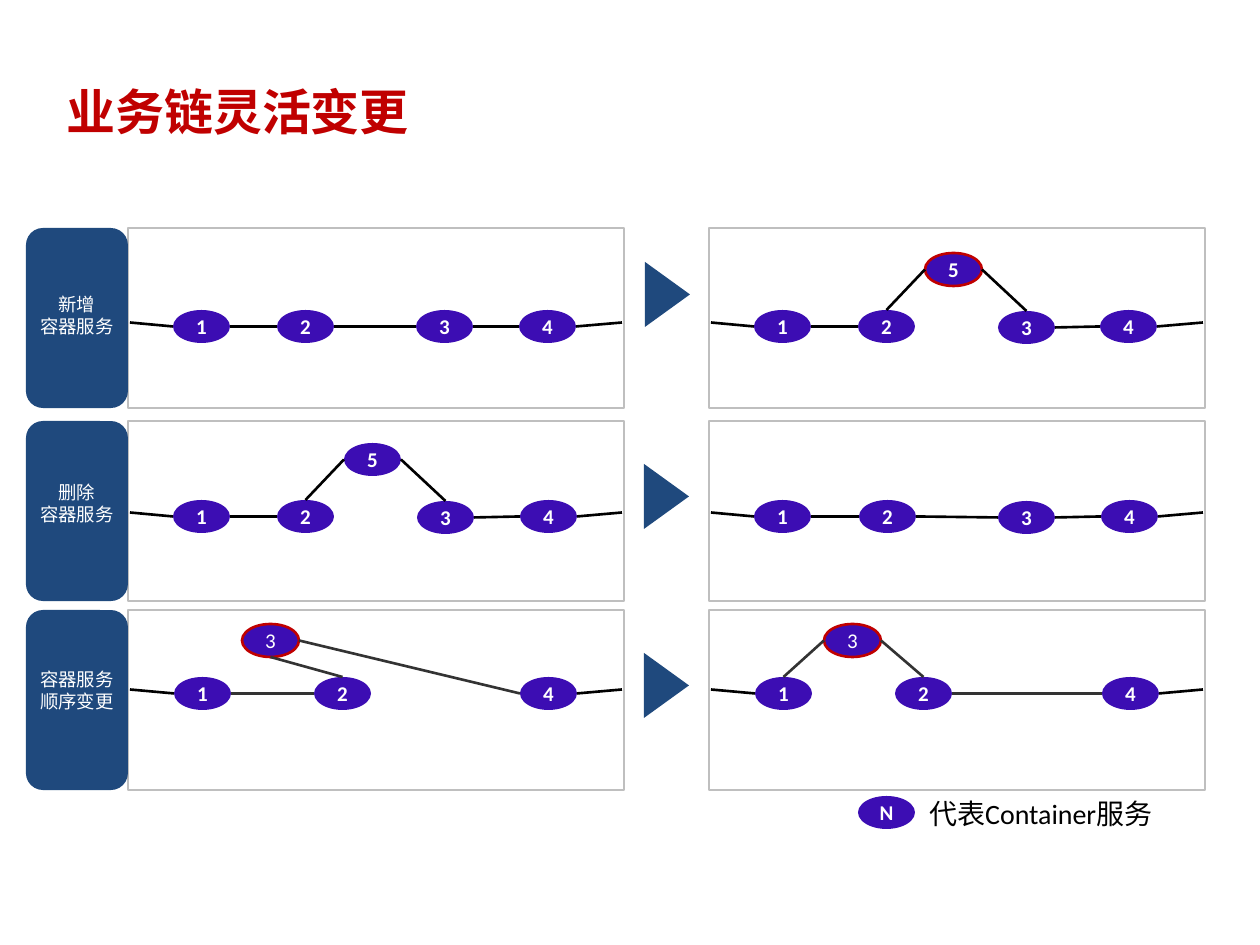
from lxml import etree
from pptx import Presentation
from pptx.dml.color import RGBColor
from pptx.enum.shapes import MSO_CONNECTOR, MSO_SHAPE
from pptx.enum.text import MSO_ANCHOR, PP_ALIGN
from pptx.oxml.ns import qn
from pptx.util import Emu, Pt

PX = 914400 // 126
STRAIGHT = MSO_CONNECTOR.STRAIGHT
RECTANGLE, ROUNDED = MSO_SHAPE.RECTANGLE, MSO_SHAPE.ROUNDED_RECTANGLE
ELLIPSE, TRIANGLE = MSO_SHAPE.OVAL, MSO_SHAPE.ISOSCELES_TRIANGLE
MIDDLE, TOP = MSO_ANCHOR.MIDDLE, MSO_ANCHOR.TOP
CENTER, LEFT = PP_ALIGN.CENTER, PP_ALIGN.LEFT

RED = RGBColor(0xC0, 0x00, 0x00)
NAVY = RGBColor(0x1F, 0x49, 0x7D)
PURPLE = RGBColor(0x3C, 0x0D, 0xB3)
GREY = RGBColor(0xBF, 0xBF, 0xBF)
DARK = RGBColor(0x33, 0x33, 0x33)
BLACK = RGBColor(0x00, 0x00, 0x00)
WHITE = RGBColor(0xFF, 0xFF, 0xFF)
LATIN_FONT, CHINESE_FONT = "Calibri", "Noto Sans CJK SC"

# Content: node places are px inside the panel, links are (node, side, node, side)
TITLE = "业务链灵活变更"
LEGEND = ("N", "代表Container服务")
CHAIN = [("1", "right", "2", "left"), ("2", "right", "3", "left"),
         ("3", "right", "4", "left")]
DETOUR = [("1", "right", "2", "left"), ("2", "top", "5", "left"),
          ("3", "top", "5", "right"), ("3", "right", "4", "left")]
ROWS = [
    {"top": 228, "label": ["新增", "容器服务"], "label_y": 59,
     "arrow": (635, 44), "color": BLACK, "bold_all": True,
     "panels": [
         {"nodes": {"1": (45, 82), "2": (149, 82), "3": (288, 82), "4": (391, 82)},
          "links": CHAIN, "marked": None},
         {"nodes": {"1": (45, 82), "2": (149, 82), "3": (289, 83), "4": (391, 82),
                    "5": (216, 25)},
          "links": DETOUR, "marked": "5"}]},
    {"top": 421, "label": ["删除", "容器服务"], "label_y": 54,
     "arrow": (634, 53), "color": BLACK, "bold_all": True,
     "panels": [
         {"nodes": {"1": (45, 79), "2": (149, 79), "3": (289, 80), "4": (392, 79),
                    "5": (216, 22)},
          "links": DETOUR, "marked": None},
         {"nodes": {"1": (45, 79), "2": (150, 79), "3": (289, 80), "4": (392, 79)},
          "links": CHAIN, "marked": None}]},
    {"top": 610, "label": ["容器服务", "顺序变更"], "label_y": 52,
     "arrow": (634, 53), "color": DARK, "bold_all": False,
     "panels": [
         {"nodes": {"1": (46, 67), "2": (186, 67), "3": (114, 14), "4": (392, 67)},
          "links": [("1", "right", "2", "left"), ("2", "top", "3", "bottom"),
                    ("3", "right", "4", "left")], "marked": "3"},
         {"nodes": {"1": (46, 67), "2": (186, 67), "3": (115, 14), "4": (393, 67)},
          "links": [("1", "top", "3", "left"), ("2", "top", "3", "right"),
                    ("2", "right", "4", "left")], "marked": "3"}]},
]

# Layout in px
PANEL_LEFTS, PANEL_W, PANEL_H = (128, 709), 496, 180
TAB_LEFT, TAB_W, LABEL_H = 26, 102, 57
NODE_W, NODE_H = 57, 33
ARROW_W, ARROW_H = 65, 45
END_INSET, END_RISE = 2, 4
SIDES = {"top": (0.5, 0), "left": (0, 0.5), "bottom": (0.5, 1), "right": (1, 0.5)}

presentation = Presentation()
presentation.slide_width, presentation.slide_height = Emu(1260 * PX), Emu(945 * PX)
slide = presentation.slides.add_slide(presentation.slide_layouts[6])


def px(*lengths):
    return [Emu(round(length * PX)) for length in lengths]


def write(shape, lines, size, color, bold=False, align=CENTER, anchor=MIDDLE):
    frame = shape.text_frame
    frame.word_wrap = True
    frame.vertical_anchor = anchor
    for index, line in enumerate(lines):
        paragraph = frame.paragraphs[0] if index == 0 else frame.add_paragraph()
        paragraph.alignment = align
        run = paragraph.add_run()
        run.text = line
        run.font.name, run.font.size, run.font.bold = LATIN_FONT, Pt(size), bold
        run.font.color.rgb = color
    return run


def add_text(box, lines, size, color, **style):
    return write(slide.shapes.add_textbox(*px(*box)), lines, size, color, **style)


def add_block(kind, box, fill=None, line=None, width=1.5):
    shape = slide.shapes.add_shape(kind, *px(*box))
    shape.shadow.inherit = False
    if fill is None:
        shape.fill.background()
    else:
        shape.fill.solid()
        shape.fill.fore_color.rgb = fill
    if line is None:
        shape.line.fill.background()
    else:
        shape.line.color.rgb = line
        shape.line.width = Pt(width)
    return shape


def add_node(left, top, label, marked=False, bold=True):
    node = add_block(ELLIPSE, (left, top, NODE_W, NODE_H), PURPLE, RED if marked else None)
    frame = node.text_frame
    frame.margin_left = frame.margin_right = frame.margin_top = frame.margin_bottom = 0
    write(node, [label], 12, WHITE, bold=bold)


def add_line(start, end, color):
    line = slide.shapes.add_connector(STRAIGHT, *px(*start, *end))
    line.line.color.rgb = color
    line.line.width = Pt(1.5)
    etree.SubElement(line._element.spPr, qn("a:effectLst"))


def add_panel(left, top, panel, row):
    add_block(RECTANGLE, (left, top, PANEL_W, PANEL_H), line=GREY, width=0.75)
    nodes = panel["nodes"]
    for label, (x, y) in nodes.items():
        marked = label == panel["marked"]
        add_node(left + x, top + y, label, marked, row["bold_all"] or not marked)

    def side_point(label, side):
        (x, y), (across, down) = nodes[label], SIDES[side]
        return left + x + across * NODE_W, top + y + down * NODE_H

    for first, first_side, second, second_side in panel["links"]:
        add_line(side_point(first, first_side), side_point(second, second_side), row["color"])
    # Chain ends at the panel borders
    entry, leave = side_point("1", "left"), side_point("4", "right")
    add_line((left + END_INSET, entry[1] - END_RISE), entry, BLACK)
    add_line(leave, (left + PANEL_W - END_INSET, leave[1] - END_RISE), BLACK)


# Title
title_run = add_text((54, 55, 1134, 112), [TITLE], 28, RED, bold=True, align=LEFT)
title_run.font.name = CHINESE_FONT
etree.SubElement(title_run.font._element, qn("a:ea")).set("typeface", CHINESE_FONT)

# Rows: tab with label, panel before, arrow, panel after
for row in ROWS:
    top = row["top"]
    for left, panel in zip(PANEL_LEFTS, row["panels"]):
        add_panel(left, top, panel, row)
    arrow_x, arrow_y = row["arrow"]
    arrow = add_block(TRIANGLE, (arrow_x, top + arrow_y, ARROW_W, ARROW_H), NAVY)
    arrow.rotation = 90
    add_block(ROUNDED, (TAB_LEFT, top, TAB_W, PANEL_H), NAVY)
    add_text((TAB_LEFT, top + row["label_y"], TAB_W, LABEL_H), row["label"], 10.5, WHITE,
             anchor=TOP)

# Legend
add_node(858, 796, LEGEND[0])
add_text((917, 790, 275, 47), [LEGEND[1]], 16, BLACK, align=LEFT, anchor=TOP)

presentation.save("out.pptx")
